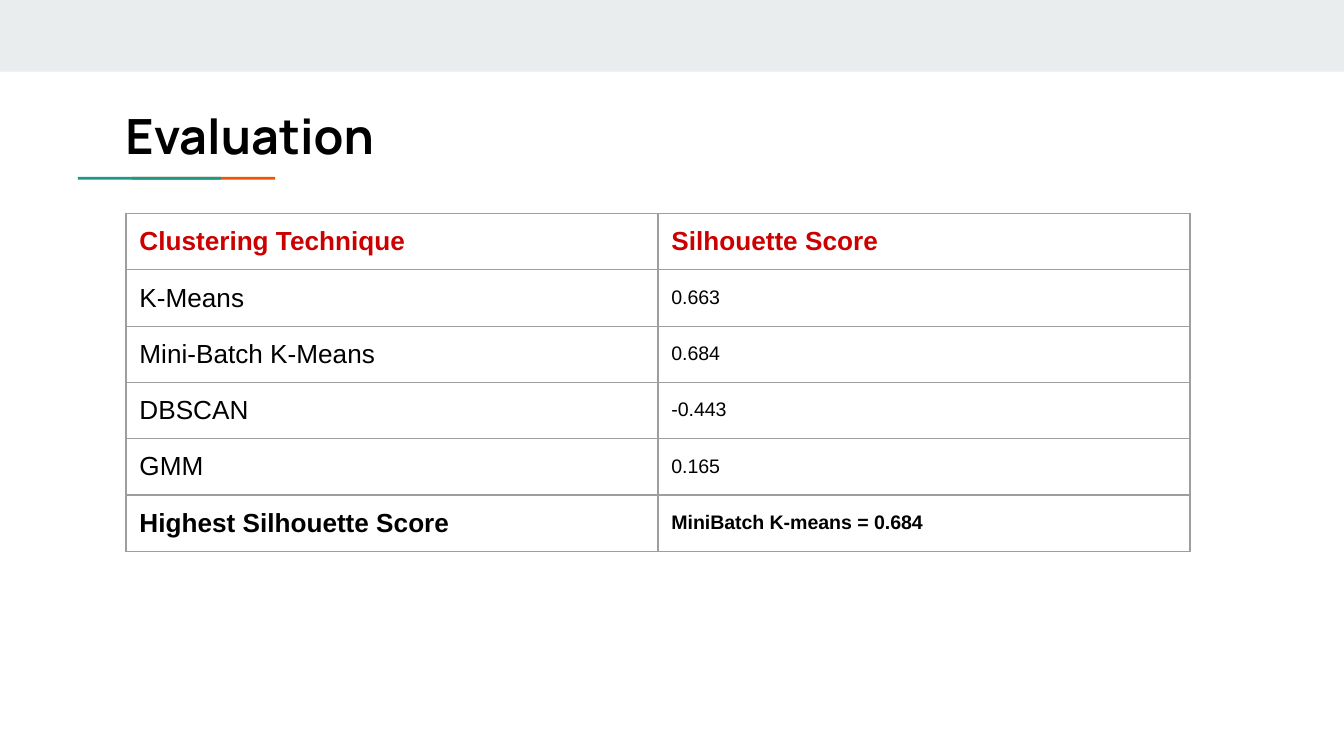
from lxml.etree import SubElement
from pptx import Presentation
from pptx.dml.color import RGBColor
from pptx.enum.shapes import MSO_SHAPE
from pptx.enum.text import MSO_ANCHOR, MSO_AUTO_SIZE, PP_ALIGN
from pptx.oxml.ns import qn
from pptx.util import Pt

COLORS = {
    "band": "E9EDEE", "green": "1A9988", "orange": "EB5600",
    "black": "000000", "red": "CC0000", "border": "9E9E9E",
}
INSET = Pt(7.2)


def set_text(tf, text, size=14, font="Arial", color="black", bold=False, spacing=1.0):
    p = tf.paragraphs[0]
    p.alignment = PP_ALIGN.LEFT
    p.line_spacing = spacing
    r = p.add_run()
    r.text = text
    r.font.size = Pt(size)
    r.font.name = font
    r.font.bold = bold
    r.font.color.rgb = RGBColor.from_string(COLORS[color])


def set_borders(cell):
    tcPr = cell._tc.get_or_add_tcPr()
    for i, side in enumerate(("a:lnL", "a:lnR", "a:lnT", "a:lnB")):
        ln = SubElement(tcPr, qn(side), w=str(Pt(0.75)))
        fill = SubElement(ln, qn("a:solidFill"))
        SubElement(fill, qn("a:srgbClr"), val=COLORS["border"])
        tcPr.insert(i, ln)  # borders come before the cell fill


prs = Presentation()
prs.slide_width, prs.slide_height = Pt(720), Pt(405)
s = prs.slides.add_slide(prs.slide_layouts[5])

# Top band and title rule, whose green bar overlaps the orange one
for color, left, top, width, height in (
    ("band", 0, 0, 720, 38.4),
    ("orange", 70.8, 94.7, 76.6, 1.5),
    ("green", 41.8, 94.7, 76.6, 1.5),
):
    sp = s.shapes.add_shape(MSO_SHAPE.RECTANGLE, Pt(left), Pt(top), Pt(width), Pt(height))
    sp.shadow.inherit = False
    sp.fill.solid()
    sp.fill.fore_color.rgb = RGBColor.from_string(COLORS[color])
    sp.line.fill.background()

# Title
title = s.shapes.title
title.left, title.top, title.width, title.height = Pt(60), Pt(49.7), Pt(605.5), Pt(42.5)
tf = title.text_frame
tf.word_wrap = True
tf.auto_size = MSO_AUTO_SIZE.NONE
tf.vertical_anchor = MSO_ANCHOR.TOP
tf.margin_left = tf.margin_right = tf.margin_top = tf.margin_bottom = INSET
set_text(tf, "Evaluation", size=26, font="Manrope", bold=True)

# Score table
rows = [
    ("Clustering Technique", "Silhouette Score"),
    ("K-Means", "0.663"),
    ("Mini-Batch K-Means", "0.684"),
    ("DBSCAN", "-0.443"),
    ("GMM", "0.165"),
    ("Highest Silhouette Score", "MiniBatch K-means = 0.684"),
]
row_height = 30
table = s.shapes.add_table(len(rows), 2, Pt(67.5), Pt(114.4), Pt(570),
                           Pt(row_height * len(rows))).table
for i, row in enumerate(rows):
    header, last = i == 0, i == len(rows) - 1
    table.rows[i].height = Pt(row_height)
    for j, text in enumerate(row):
        cell = table.cell(i, j)
        cell.fill.background()
        cell.margin_left = cell.margin_right = INSET
        cell.margin_top = cell.margin_bottom = INSET
        score = j == 1 and not header
        set_text(cell.text_frame, text, size=10.5 if score else 14,
                 color="red" if header else "black", bold=header or last,
                 spacing=1.15 if score else 1.0)
        set_borders(cell)

prs.save("out.pptx")
